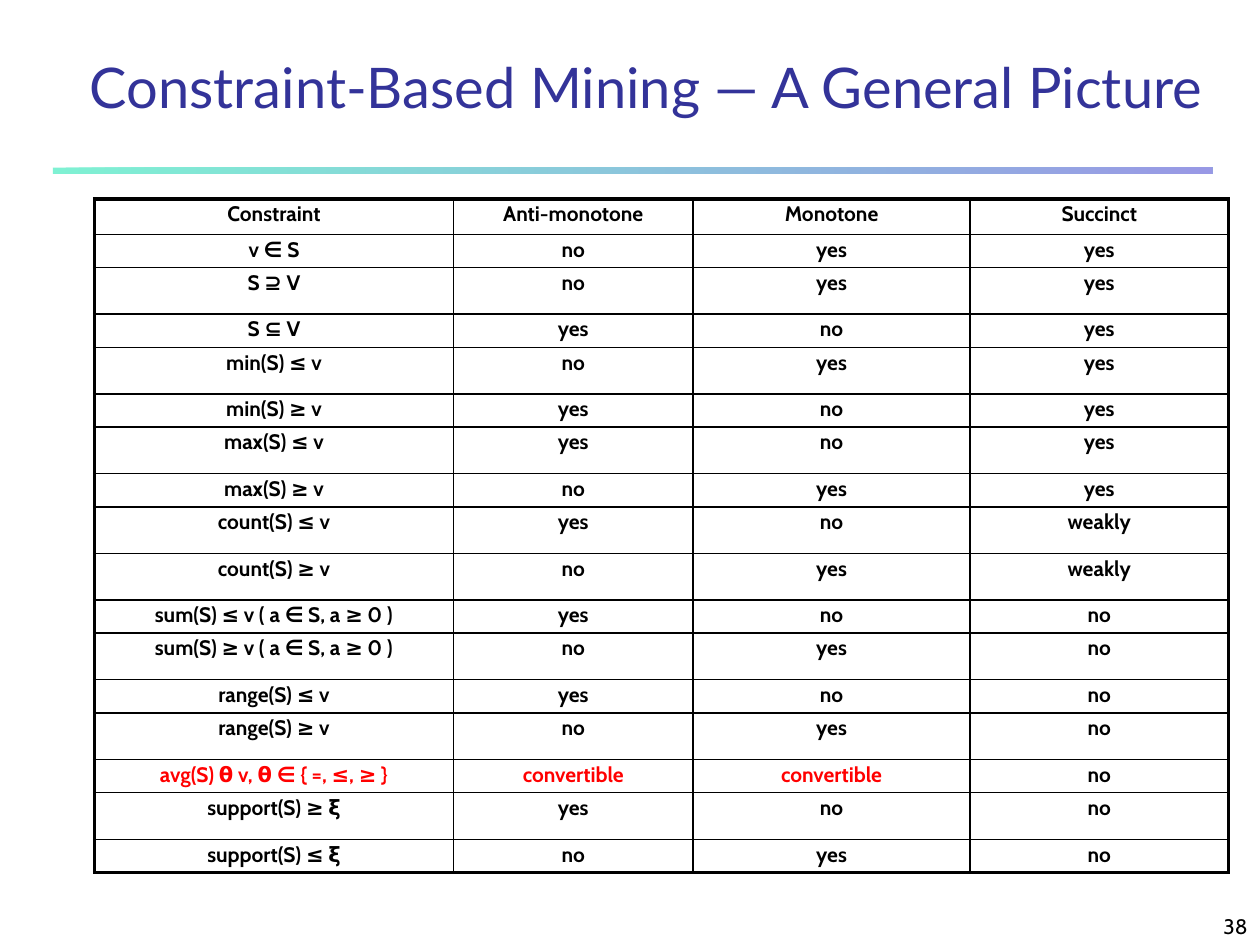
import dataclasses

import lxml.etree
import pptx
import pptx.dml.color
import pptx.enum.shapes
import pptx.enum.text
import pptx.oxml.ns
import pptx.util

Inches = pptx.util.Inches
Pt = pptx.util.Pt
ALIGN = pptx.enum.text.PP_ALIGN
ANCHOR = pptx.enum.text.MSO_ANCHOR
qn = pptx.oxml.ns.qn


@dataclasses.dataclass(frozen=True)
class Theme:
    title_font: str = "Lato"
    body_font: str = "Cabin"
    title_size: int = 32
    body_size: int = 12
    title: str = "333399"
    text: str = "000000"
    accent: str = "FF0000"
    rule: tuple = ("00E4A8", "3333CC")
    rule_alpha: int = 50
    inner_border: float = 1
    outer_border: float = 2.25
    line_spacing: float = 0.8


def rgb(color):
    return pptx.dml.color.RGBColor.from_string(color)


class SlideBuilder:
    def __init__(self, slide, theme):
        self.slide = slide
        self.theme = theme

    def format_text(self, tf, font, size, color, align, bold=False):
        for p in tf.paragraphs:
            p.alignment = align
            for r in p.runs:
                r.font.name = font
                r.font.size = Pt(size)
                r.font.bold = bold
                r.font.color.rgb = rgb(color)

    def title(self, text, left, top, width, height):
        sp = self.slide.shapes.title
        sp.left, sp.top, sp.width, sp.height = map(Inches, (left, top, width, height))
        tf = sp.text_frame
        tf.text = text
        tf.word_wrap = True
        tf.auto_size = pptx.enum.text.MSO_AUTO_SIZE.NONE
        tf.vertical_anchor = ANCHOR.BOTTOM
        t = self.theme
        self.format_text(tf, t.title_font, t.title_size, t.title, ALIGN.CENTER)

    def gradient_rule(self, left, top, width, height):
        sp = self.slide.shapes.add_shape(
            pptx.enum.shapes.MSO_SHAPE.RECTANGLE,
            Inches(left), Inches(top), Inches(width), Inches(height))
        sp.shadow.inherit = False
        sp.line.fill.background()
        sp.fill.gradient()
        sp.fill.gradient_angle = 0
        for stop, color in zip(sp.fill.gradient_stops, self.theme.rule):
            stop.color.rgb = rgb(color)
        # Transparency of each gradient stop
        for clr in sp._element.spPr.iter(qn("a:srgbClr")):
            alpha = lxml.etree.SubElement(clr, qn("a:alpha"))
            alpha.set("val", str(self.theme.rule_alpha * 1000))

    def page_number(self, text, left, top, width, height):
        sp = self.slide.shapes.add_textbox(
            Inches(left), Inches(top), Inches(width), Inches(height))
        tf = sp.text_frame
        tf.text = text
        tf.word_wrap = True
        tf.vertical_anchor = ANCHOR.BOTTOM
        t = self.theme
        self.format_text(tf, t.body_font, t.body_size, t.text, ALIGN.RIGHT)

    def border(self, cell, side, width):
        ln = lxml.etree.SubElement(cell._tc.get_or_add_tcPr(), qn("a:ln" + side))
        ln.set("w", str(Pt(width)))
        fill = lxml.etree.SubElement(ln, qn("a:solidFill"))
        lxml.etree.SubElement(fill, qn("a:srgbClr")).set("val", self.theme.text)

    def table(self, rows, left, top, widths, heights, accent_text):
        t = self.theme
        table = self.slide.shapes.add_table(
            len(rows), len(widths), Inches(left), Inches(top),
            Inches(sum(widths)), Inches(sum(heights))).table
        table.first_row = table.horz_banding = False
        for column, width in zip(table.columns, widths):
            column.width = Inches(width)
        for row, height in zip(table.rows, heights):
            row.height = Inches(height)

        last_row, last_col = len(rows) - 1, len(widths) - 1
        for i, values in enumerate(rows):
            for j, value in enumerate(values):
                cell = table.cell(i, j)
                edges = {"L": j == 0, "R": j == last_col,
                         "T": i == 0, "B": i == last_row}
                for side, outer in edges.items():
                    self.border(cell, side, t.outer_border if outer else t.inner_border)
                cell.fill.background()
                tf = cell.text_frame
                tf.text = value
                tf.paragraphs[0].line_spacing = t.line_spacing
                accented = accent_text in values and value != "no"
                self.format_text(tf, t.body_font, t.body_size,
                                 t.accent if accented else t.text,
                                 ALIGN.CENTER, bold=True)


HEADER, SHORT, TALL = 0.28, 0.26, 0.37

# Row height, constraint, anti-monotone, monotone, succinct
CONSTRAINTS = [
    (HEADER, "Constraint", "Anti-monotone", "Monotone", "Succinct"),
    (SHORT, "v ∈ S", "no", "yes", "yes"),
    (TALL, "S ⊇ V", "no", "yes", "yes"),
    (SHORT, "S ⊆ V", "yes", "no", "yes"),
    (TALL, "min(S) ≤ v", "no", "yes", "yes"),
    (SHORT, "min(S) ≥ v", "yes", "no", "yes"),
    (TALL, "max(S) ≤ v", "yes", "no", "yes"),
    (SHORT, "max(S) ≥ v", "no", "yes", "yes"),
    (TALL, "count(S) ≤ v", "yes", "no", "weakly"),
    (TALL, "count(S) ≥ v", "no", "yes", "weakly"),
    (SHORT, "sum(S) ≤ v ( a ∈ S, a ≥ 0 )", "yes", "no", "no"),
    (TALL, "sum(S) ≥ v ( a ∈ S, a ≥ 0 )", "no", "yes", "no"),
    (SHORT, "range(S) ≤ v", "yes", "no", "no"),
    (TALL, "range(S) ≥ v", "no", "yes", "no"),
    (SHORT, "avg(S) θ v, θ ∈ { =, ≤, ≥ }", "convertible", "convertible", "no"),
    (TALL, "support(S) ≥ ξ", "yes", "no", "no"),
    (SHORT, "support(S) ≤ ξ", "no", "yes", "no"),
]


def main():
    prs = pptx.Presentation()
    prs.slide_width, prs.slide_height = Inches(10), Inches(7.5)
    s = SlideBuilder(prs.slides.add_slide(prs.slide_layouts[5]), Theme())

    # Heading and rule
    s.title("Constraint-Based Mining — A General Picture", 0.42, 0.25, 9.42, 0.75)
    s.gradient_rule(0.42, 1.33, 9.2, 0.05)

    # Constraint properties
    s.table([row[1:] for row in CONSTRAINTS], 0.75, 1.58,
            widths=[2.85, 1.9, 2.2, 2.05],
            heights=[row[0] for row in CONSTRAINTS],
            accent_text="convertible")

    # Footer
    s.page_number("38", 7.92, 7.08, 2.08, 0.42)

    prs.save("out.pptx")


if __name__ == "__main__":
    main()
